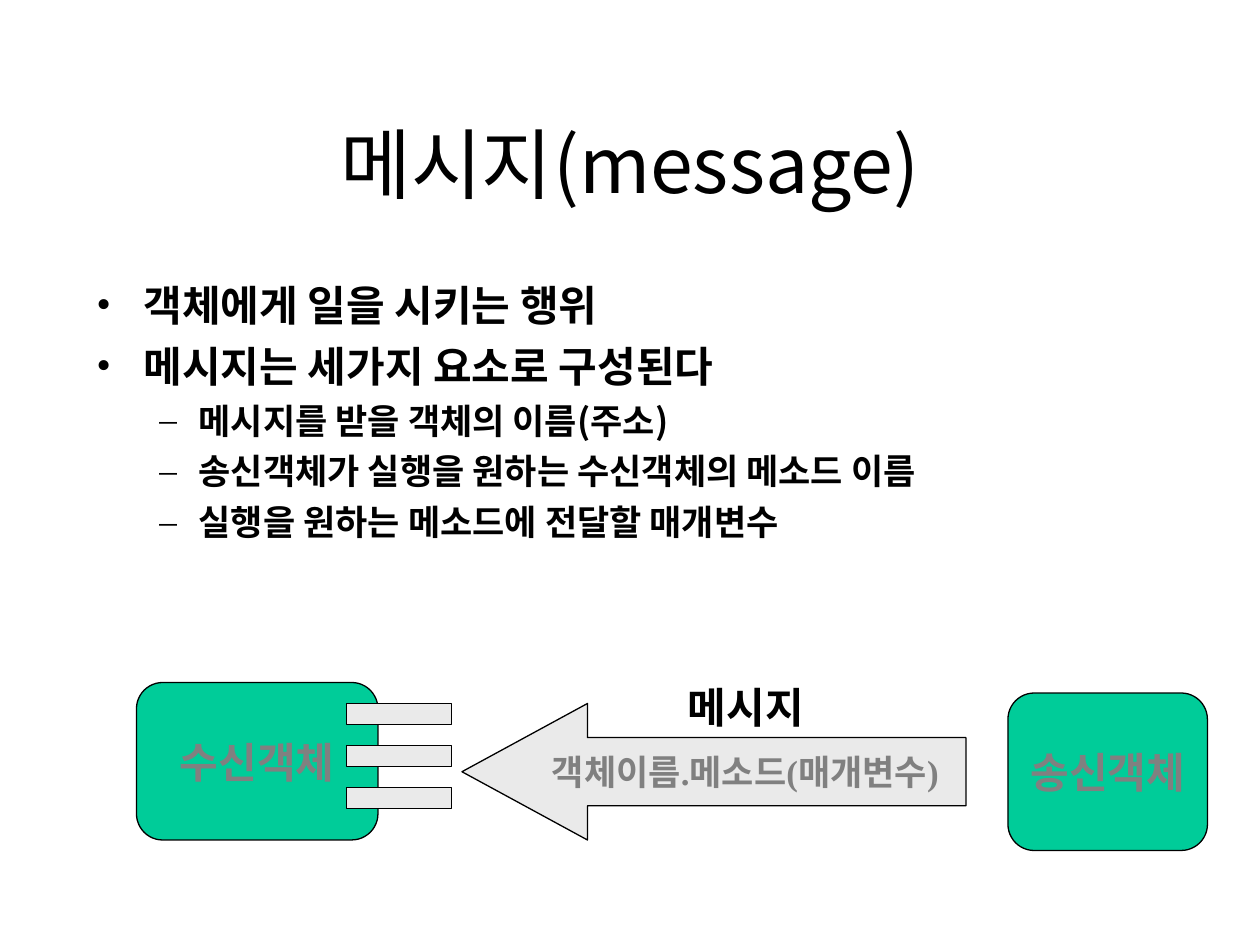
from lxml.etree import SubElement
from pptx import Presentation
from pptx.dml.color import RGBColor
from pptx.enum.shapes import MSO_SHAPE
from pptx.enum.text import MSO_ANCHOR, MSO_AUTO_SIZE, PP_ALIGN
from pptx.oxml.ns import qn
from pptx.util import Pt

SANS, SERIF = "Noto Sans CJK KR", "Times New Roman"
BLACK, GRAY, LIGHT, GREEN = "000000", "808080", "EAEAEA", "00CC99"


def color(value):
    return RGBColor.from_string(value)


class SlideBuilder:
    """Holds the text style and the slide being drawn."""

    style = {"size": Pt(24), "bold": True, "name": SERIF}
    # level: (bullet, text size, left margin, hanging indent, space before)
    levels = [("•", 24, 27, 27, 6), ("–", 20, 58.5, 22.5, 5)]

    def __init__(self, presentation):
        self.slide = presentation.slides.add_slide(presentation.slide_layouts[5])

    def add_text(self, paragraph, text, ink=BLACK, **changes):
        run = paragraph.add_run()
        run.text = text
        for name, value in {**self.style, **changes}.items():
            setattr(run.font, name, value)
        run.font.color.rgb = color(ink)
        east_asian = SubElement(run._r.get_or_add_rPr(), qn("a:ea"))
        east_asian.set("typeface", SANS)

    def title(self, box, text):
        shape = self.slide.shapes.title
        for name, value in zip(("left", "top", "width", "height"), box):
            setattr(shape, name, Pt(value))
        shape.text_frame.vertical_anchor = MSO_ANCHOR.MIDDLE
        paragraph = shape.text_frame.paragraphs[0]
        paragraph.alignment = PP_ALIGN.CENTER
        self.add_text(paragraph, text, size=Pt(44), bold=False, name=SANS)

    def text_box(self, box, wrap=True):
        shape = self.slide.shapes.add_textbox(*map(Pt, box))
        shape.text_frame.word_wrap = wrap
        return shape.text_frame

    def bullets(self, box, items):
        frame = self.text_box(box)
        for index, (level, text) in enumerate(items):
            paragraph = frame.add_paragraph() if index else frame.paragraphs[0]
            bullet, size, margin, hanging, space = self.levels[level]
            paragraph.level = level
            paragraph.space_before = Pt(space)
            properties = paragraph._p.get_or_add_pPr()
            properties.set("marL", str(Pt(margin)))
            properties.set("indent", str(-Pt(hanging)))
            bullet_color = SubElement(properties, qn("a:buClr"))
            SubElement(bullet_color, qn("a:srgbClr")).set("val", BLACK)
            SubElement(properties, qn("a:buFont")).set("typeface", SERIF)
            SubElement(properties, qn("a:buChar")).set("char", bullet)
            self.add_text(paragraph, text, size=Pt(size), name=SANS)

    def label(self, box, text):
        frame = self.text_box(box, wrap=False)
        frame.auto_size = MSO_AUTO_SIZE.SHAPE_TO_FIT_TEXT
        self.add_text(frame.paragraphs[0], text)

    def block(self, kind, box, fill, text="", size=24, adjustments=()):
        shape = self.slide.shapes.add_shape(kind, *map(Pt, box))
        shape.shadow.inherit = False
        for index, value in enumerate(adjustments):
            shape.adjustments[index] = value
        shape.fill.solid()
        shape.fill.fore_color.rgb = color(fill)
        shape.line.color.rgb = color(BLACK)
        shape.line.width = Pt(0.75)
        if text:
            frame = shape.text_frame
            frame.word_wrap = False
            frame.vertical_anchor = MSO_ANCHOR.MIDDLE
            frame.paragraphs[0].alignment = PP_ALIGN.CENTER
            self.add_text(frame.paragraphs[0], text, GRAY, size=Pt(size))


def main():
    presentation = Presentation()
    presentation.slide_width, presentation.slide_height = Pt(720), Pt(540)
    builder = SlideBuilder(presentation)

    # Title and explanation
    builder.title((54, 48, 612, 90), "메시지(message)")
    builder.bullets((48, 156, 618, 186), [
        (0, "객체에게 일을 시키는 행위"),
        (0, "메시지는 세가지 요소로 구성된다"),
        (1, "메시지를 받을 객체의 이름(주소)"),
        (1, "송신객체가 실행을 원하는 수신객체의 메소드 이름"),
        (1, "실행을 원하는 메소드에 전달할 매개변수"),
    ])

    # Receiving and sending objects
    for box, text in (((78, 390, 138, 90), "수신객체"),
                      ((576, 396, 114, 90), "송신객체")):
        builder.block(MSO_SHAPE.ROUNDED_RECTANGLE, box, GREEN, text)

    # Message arrow
    builder.block(MSO_SHAPE.LEFT_ARROW, (264, 402, 288, 78), LIGHT,
                  "객체이름.메소드(매개변수)", 20, (0.5, 0.92))

    # Methods of the receiving object
    for row in range(3):
        builder.block(MSO_SHAPE.RECTANGLE, (198, 402 + 24 * row, 60, 12), LIGHT)

    # Arrow caption
    builder.label((386, 386, 80.5, 36), "메시지")

    presentation.save("out.pptx")


if __name__ == "__main__":
    main()
